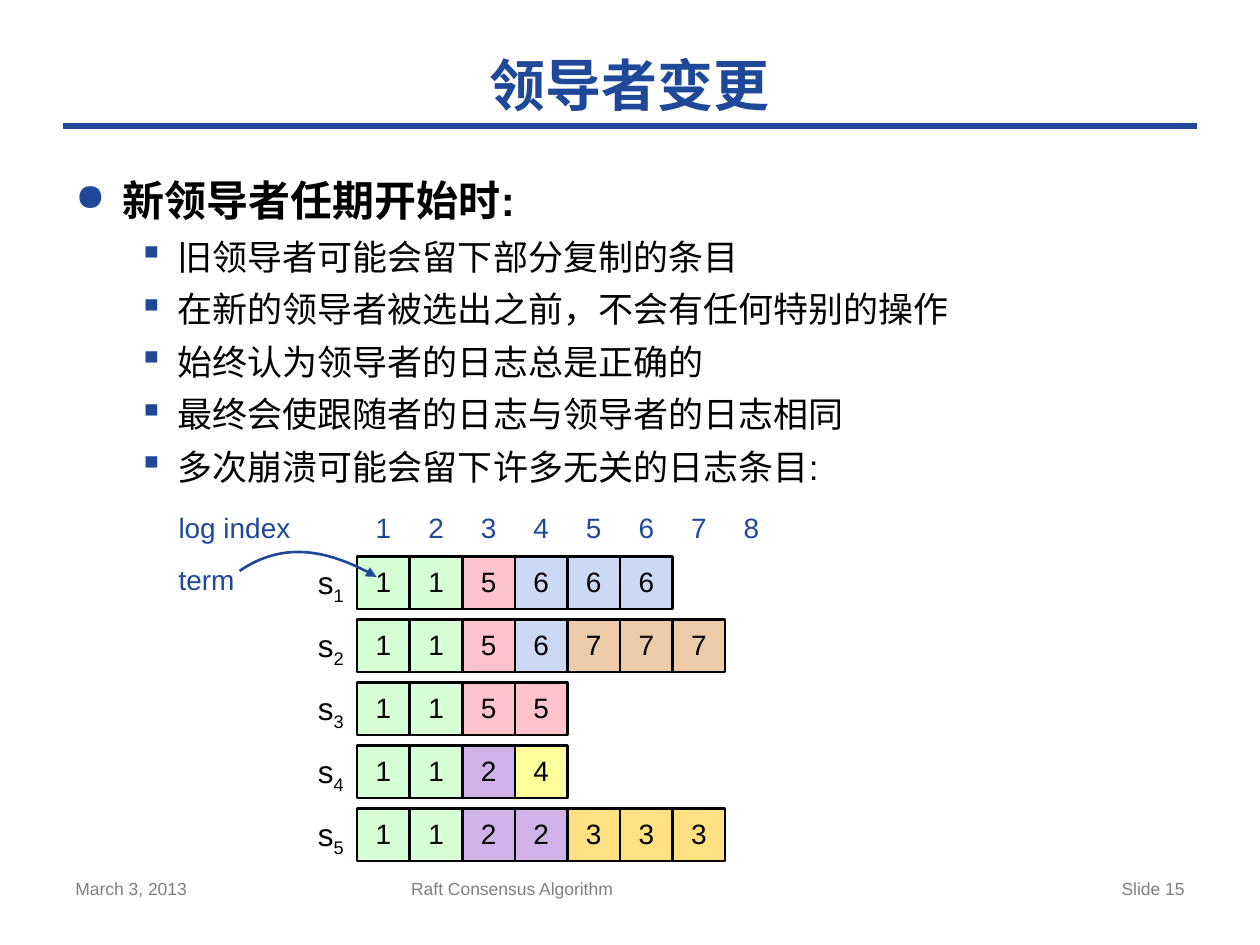
from lxml import etree
from pptx import Presentation
from pptx.dml.color import RGBColor
from pptx.enum.shapes import MSO_CONNECTOR, MSO_SHAPE
from pptx.enum.text import MSO_ANCHOR, PP_ALIGN
from pptx.oxml.ns import qn
from pptx.util import Cm, Pt

LINE, RECT = MSO_CONNECTOR.STRAIGHT, MSO_SHAPE.RECTANGLE
LEFT, MID, RIGHT = PP_ALIGN.LEFT, PP_ALIGN.CENTER, PP_ALIGN.RIGHT
TOP, CORE = MSO_ANCHOR.TOP, MSO_ANCHOR.MIDDLE

TITLE = "领导者变更"
POINTS = [
    (0, "新领导者任期开始时:"),
    (1, "旧领导者可能会留下部分复制的条目"),
    (1, "在新的领导者被选出之前，不会有任何特别的操作"),
    (1, "始终认为领导者的日志总是正确的"),
    (1, "最终会使跟随者的日志与领导者的日志相同"),
    (1, "多次崩溃可能会留下许多无关的日志条目:"),
]
LOGS = [
    [1, 1, 5, 6, 6, 6],
    [1, 1, 5, 6, 7, 7, 7],
    [1, 1, 5, 5],
    [1, 1, 2, 4],
    [1, 1, 2, 2, 3, 3, 3],
]
SLOTS = 8
FOOTER = [
    ("March 3, 2013", 1.27, 5.93, LEFT),
    ("Raft Consensus Algorithm", 8.04, 9.53, LEFT),
    ("Slide 15", 18.2, 5.93, RIGHT),
]
KEYS = [("log index", 10.29, 3.18), ("term", 11.35, 2.12)]

THEME = {
    "blue": "1F4899", "ink": "000000", "gray": "7F7F7F",
    "font": "Arial", "head": "DejaVu Sans",
    "title": 32, "lead": 24, "point": 20, "label": 18, "cell": 16, "foot": 10,
    "terms": {1: "D5FFD5", 2: "D1B2E8", 3: "FFE181", 4: "FFFF9B",
              5: "FFC3CE", 6: "CCD9F4", 7: "EECBA8"},
}
LEVELS = [
    dict(mark="●", scale=90, left=0.96, hang=0.96, size=THEME["lead"], bold=True),
    dict(mark="▪", scale=100, left=2.06, hang=0.79, size=THEME["point"], gap=6),
]

CELL, STEP = 1.06, 1.27
GRID_X, GRID_Y = 7.2, 11.22
CURVE = [(4.83, 11.51), (5.69, 10.92), (6.68, 11.1), (7.59, 11.63)]
CREST = (6.2, 11.15)


def rgb(code):
    return RGBColor.from_string(code)


def add(node, tag, **attrs):
    return etree.SubElement(node, qn(tag), attrs)


def bullet(para, mark, scale, left, hang):
    props = para._p.get_or_add_pPr()
    props.set("marL", str(Cm(left)))
    props.set("indent", str(-Cm(hang)))
    add(add(props, "a:buClr"), "a:srgbClr", val=THEME["blue"])
    add(props, "a:buSzPct", val=str(scale * 1000))
    add(props, "a:buChar", char=mark)


def text(para, words, size, color=THEME["ink"], font=THEME["font"],
         bold=False, align=LEFT, gap=None, line=None, sub=""):
    para.alignment = align
    if gap:
        para.space_before = Pt(gap)
    if line:
        para.line_spacing = Pt(line)
    for part in filter(None, (words, sub)):
        run = para.add_run()
        run.text = part
        run.font.size, run.font.name, run.font.bold = Pt(size), font, bold
        run.font.color.rgb = rgb(color)
    if sub:
        run._r.get_or_add_rPr().set("baseline", "-25000")


def setup(frame, anchor=TOP, flush=False):
    frame.word_wrap = True
    frame.vertical_anchor = anchor
    if flush:
        frame.margin_left = frame.margin_right = 0
        frame.margin_top = frame.margin_bottom = 0
    return frame


def box(shapes, x, y, w, h, **style):
    item = shapes.add_textbox(Cm(x), Cm(y), Cm(w), Cm(h))
    return setup(item.text_frame, **style)


def label(shapes, words, place, anchor=TOP, flush=False, **style):
    text(box(shapes, *place, anchor=anchor, flush=flush).paragraphs[0], words, **style)


def frame_top(shapes):
    rule = shapes.add_connector(LINE, Cm(1.27), Cm(2.54), Cm(24.13), Cm(2.54))
    rule.line.color.rgb, rule.line.width = rgb(THEME["blue"]), Pt(4)
    add(rule._element.spPr, "a:effectLst")
    label(shapes, TITLE, (1.27, 0.85, 22.86, 1.69), anchor=CORE, align=MID,
          size=THEME["title"], color=THEME["blue"], font=THEME["head"], bold=True)


def points(shapes):
    body = box(shapes, 1.27, 3.39, 22.86, 13.65)
    for num, (level, words) in enumerate(POINTS):
        para = body.add_paragraph() if num else body.paragraphs[0]
        para.level = level
        style = dict(LEVELS[level])
        bullet(para, *(style.pop(key) for key in ("mark", "scale", "left", "hang")))
        text(para, words, **style)


def cell(shapes, term, x, y):
    item = shapes.add_shape(RECT, Cm(x), Cm(y), Cm(CELL), Cm(CELL))
    item.shadow.inherit = False
    item.fill.solid()
    item.fill.fore_color.rgb = rgb(THEME["terms"][term])
    item.line.color.rgb, item.line.width = rgb(THEME["ink"]), Pt(1.5)
    frame = setup(item.text_frame, anchor=CORE, flush=True)
    text(frame.paragraphs[0], str(term), THEME["cell"], align=MID, line=17)


def logs(shapes):
    blue = dict(size=THEME["cell"], color=THEME["blue"])
    for slot in range(SLOTS):
        label(shapes, str(slot + 1), (GRID_X + slot * CELL, 10.16, CELL, 0.94),
              align=MID, **blue)
    for words, y, w in KEYS:
        label(shapes, words, (3.6, y, w, 0.69), flush=True, **blue)
    for row, terms in enumerate(LOGS):
        y = GRID_Y + row * STEP
        label(shapes, "s", (GRID_X - CELL, y + 0.13, CELL, 0.76), flush=True,
              size=THEME["label"], align=MID, sub=str(row + 1))
        for slot, term in enumerate(terms):
            cell(shapes, term, GRID_X + slot * CELL, y)


def arrow(shapes):
    spots = [(Cm(x), Cm(y)) for x, y in CURVE]
    maker = shapes.build_freeform(*spots[0])
    maker.add_line_segments([(Cm(CREST[0]), Cm(CREST[1])), spots[-1]], close=False)
    item = maker.convert_to_shape()
    item.shadow.inherit = False
    item.fill.background()
    item.line.color.rgb, item.line.width = rgb(THEME["blue"]), Pt(1.5)
    add(item.line._get_or_add_ln(), "a:tailEnd", type="triangle")
    track = next(item._element.iter(qn("a:path")))
    for step in track.findall(qn("a:lnTo")):
        track.remove(step)
    bend = add(track, "a:cubicBezTo")
    for x, y in spots[1:]:
        add(bend, "a:pt", x=str(x - item.left), y=str(y - item.top))


def main():
    deck = Presentation()
    deck.slide_width, deck.slide_height = Cm(25.4), Cm(19.05)
    shapes = deck.slides.add_slide(deck.slide_layouts[6]).shapes
    frame_top(shapes)
    points(shapes)
    for words, x, w, align in FOOTER:
        label(shapes, words, (x, 17.57, w, 1.1), align=align,
              size=THEME["foot"], color=THEME["gray"])
    logs(shapes)
    arrow(shapes)
    deck.save("out.pptx")


if __name__ == "__main__":
    main()
